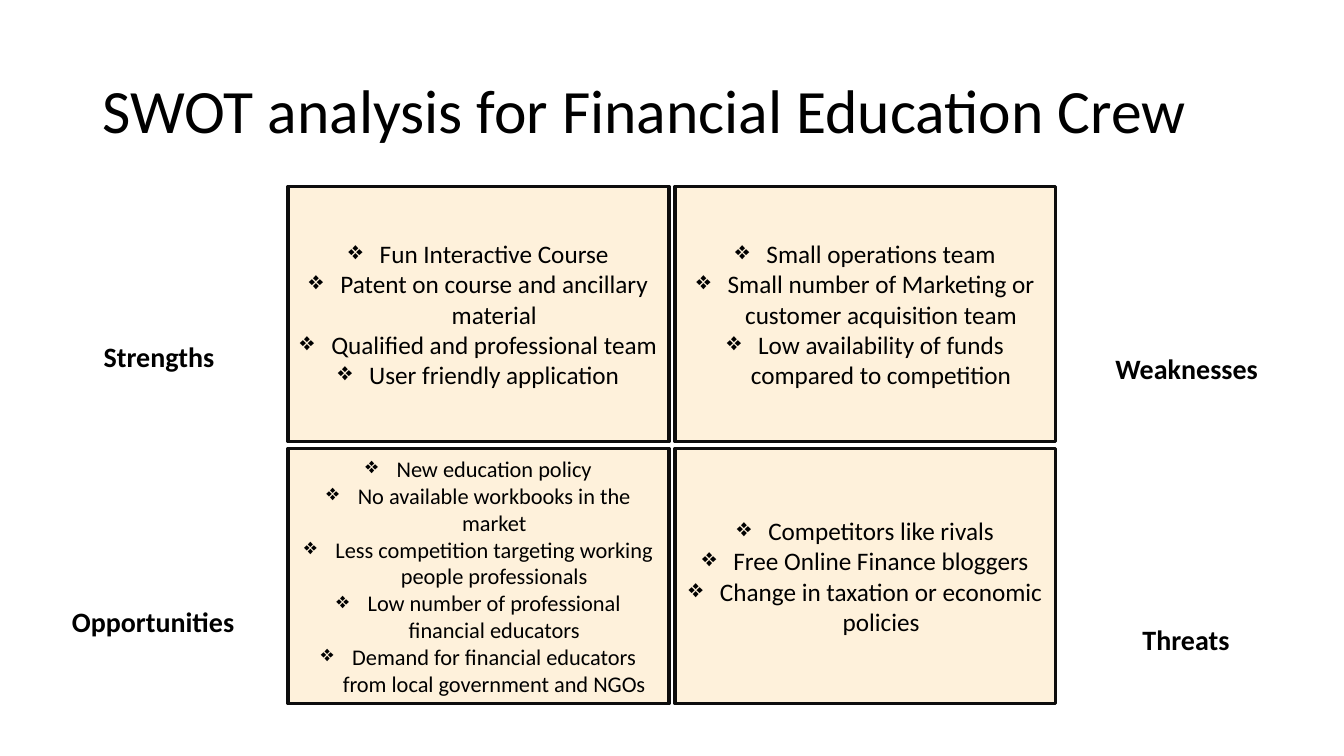
"""Build a SWOT analysis slide with four bulleted quadrants and their labels."""
from dataclasses import dataclass

from lxml import etree
from pptx import Presentation
from pptx import util as u
from pptx.dml.color import RGBColor
from pptx.enum import shapes, text
from pptx.oxml import ns

BLACK = RGBColor(0x00, 0x00, 0x00)
BORDER = RGBColor(0x0D, 0x0D, 0x0D)
ORANGE = RGBColor(0xFC, 0xA4, 0x12)
FILL_ALPHA = 15
FONT = "Calibri"
BULLET = "❖"
BULLET_INDENT = u.Cm(0.79)

GRID_LEFT, GRID_TOP = 7.26, 4.7
CELL_WIDTH, CELL_HEIGHT = 9.6, 6.43
COLUMN_PITCH, ROW_PITCH = 9.75, 6.6
LABEL_HEIGHT = 1.09


@dataclass(frozen=True)
class Quadrant:
    """One SWOT field with the place of its label in centimetres."""
    name: str
    label_left: float
    label_top: float
    label_width: float
    points: tuple[str, ...]
    size: int = 18


QUADRANTS = (
    Quadrant("Strengths", 2.03, 8.43, 3.96, (
        "Fun Interactive Course",
        "Patent on course and ancillary material",
        "Qualified and professional team",
        "User friendly application")),
    Quadrant("Weaknesses", 27.58, 8.74, 4.65, (
        "Small operations team",
        "Small number of Marketing or customer acquisition team",
        "Low availability of funds compared to competition")),
    Quadrant("Opportunities", 1.22, 15.11, 5.28, (
        "New education policy",
        "No available workbooks in the market",
        "Less competition targeting working people professionals",
        "Low number of professional financial educators",
        "Demand for financial educators from local government and NGOs"), size=16),
    Quadrant("Threats", 27.91, 15.57, 3.96, (
        "Competitors like rivals",
        "Free Online Finance bloggers",
        "Change in taxation or economic policies")),
)


def add_bullet(para) -> None:
    """Give a paragraph a hanging bullet."""
    properties = para._p.get_or_add_pPr()
    properties.set("marL", str(BULLET_INDENT))
    properties.set("indent", str(-BULLET_INDENT))
    etree.SubElement(properties, ns.qn("a:buChar"), char=BULLET)


def write_text(box, lines: tuple[str, ...], *, size: int, bold: bool = False,
               align=text.PP_ALIGN.CENTER, anchor=text.MSO_ANCHOR.MIDDLE,
               bulleted: bool = False, line_spacing: float = 1.0) -> None:
    """Fill a shape with one formatted paragraph per line."""
    frame = box.text_frame
    frame.word_wrap = True
    frame.vertical_anchor = anchor
    for index, line in enumerate(lines):
        para = frame.add_paragraph() if index else frame.paragraphs[0]
        para.alignment = align
        para.line_spacing = line_spacing
        if bulleted:
            add_bullet(para)
        span = para.add_run()
        span.text = line
        span.font.name = FONT
        span.font.size = u.Pt(size)
        span.font.bold = bold
        span.font.color.rgb = BLACK


def draw_title(page, title: str) -> None:
    """Draw the slide title."""
    box = page.shapes.add_textbox(u.Cm(2.34), u.Cm(1.02), u.Cm(29.21), u.Cm(3.68))
    write_text(box, (title,), size=44, align=text.PP_ALIGN.LEFT, line_spacing=0.9)


def draw_label(page, quadrant: Quadrant) -> None:
    """Draw the name beside a quadrant."""
    box = page.shapes.add_textbox(u.Cm(quadrant.label_left), u.Cm(quadrant.label_top),
                                  u.Cm(quadrant.label_width), u.Cm(LABEL_HEIGHT))
    write_text(box, (quadrant.name,), size=20, bold=True, anchor=text.MSO_ANCHOR.TOP)


def draw_quadrant(page, quadrant: Quadrant, row: int, column: int) -> None:
    """Draw the tinted rectangle with its points."""
    box = page.shapes.add_shape(
        shapes.MSO_SHAPE.RECTANGLE,
        u.Cm(GRID_LEFT + column * COLUMN_PITCH), u.Cm(GRID_TOP + row * ROW_PITCH),
        u.Cm(CELL_WIDTH), u.Cm(CELL_HEIGHT))
    box.shadow.inherit = False
    box.fill.solid()
    box.fill.fore_color.rgb = ORANGE
    color = box._element.spPr.find(ns.qn("a:solidFill")).find(ns.qn("a:srgbClr"))
    etree.SubElement(color, ns.qn("a:alpha"), val=str(FILL_ALPHA * 1000))
    box.line.color.rgb = BORDER
    box.line.width = u.Pt(2.25)
    write_text(box, quadrant.points, size=quadrant.size, bulleted=True)


def main() -> None:
    """Build and save the deck."""
    deck = Presentation()
    deck.slide_width, deck.slide_height = u.Cm(33.87), u.Cm(19.05)
    page = deck.slides.add_slide(deck.slide_layouts[6])
    draw_title(page, "SWOT analysis for Financial Education Crew")
    for index, quadrant in enumerate(QUADRANTS):
        row, column = divmod(index, 2)
        draw_label(page, quadrant)
        draw_quadrant(page, quadrant, row, column)
    deck.save("out.pptx")


if __name__ == "__main__":
    main()
